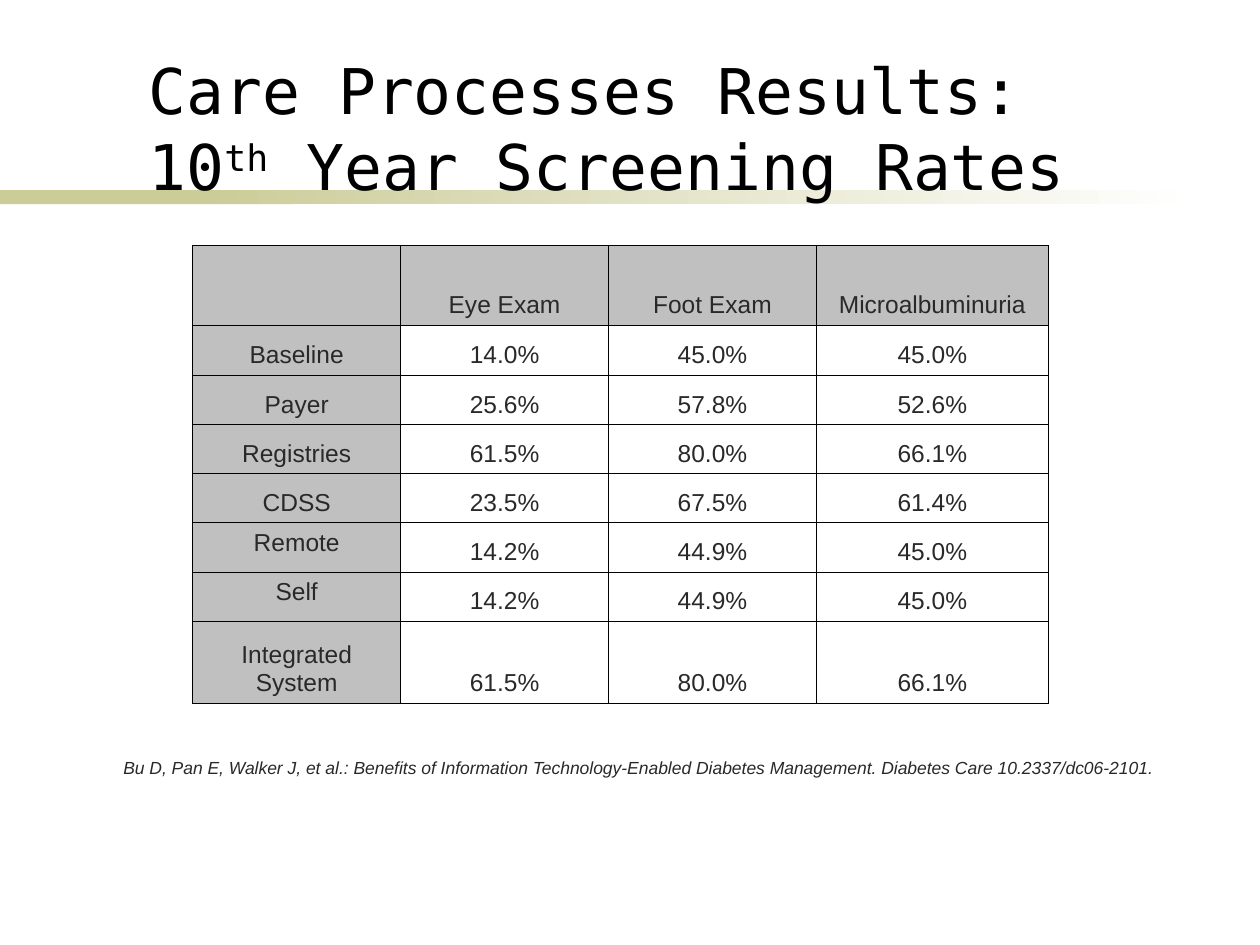
from dataclasses import dataclass

from lxml.etree import SubElement
from pptx import Presentation
from pptx.dml.color import RGBColor
from pptx.enum.shapes import MSO_SHAPE
from pptx.enum.text import MSO_ANCHOR, PP_ALIGN
from pptx.oxml.ns import qn
from pptx.slide import Slide
from pptx.table import _Cell
from pptx.text.text import _Paragraph, _Run
from pptx.util import Inches, Pt

OLIVE = RGBColor(0xCC, 0xCC, 0x99)
WHITE = RGBColor(0xFF, 0xFF, 0xFF)
BLACK = RGBColor(0x00, 0x00, 0x00)
CHARCOAL = RGBColor(0x29, 0x29, 0x29)
SILVER = RGBColor(0xC0, 0xC0, 0xC0)

TITLE_FONT = "DejaVu Sans Mono"
BODY_FONT = "Arial"
COLUMN_WIDTHS = (1.65, 1.65, 1.65, 1.84)
HEADINGS = ("", "Eye Exam", "Foot Exam", "Microalbuminuria")
CITATION = (
    "Bu D, Pan E, Walker J, et al.: Benefits of Information Technology-Enabled "
    "Diabetes Management. Diabetes Care 10.2337/dc06-2101."
)


@dataclass(frozen=True)
class Box:
    left: float
    top: float
    width: float
    height: float

    def lengths(self) -> tuple[Inches, ...]:
        return tuple(map(Inches, (self.left, self.top, self.width, self.height)))


@dataclass(frozen=True)
class TableRow:
    texts: tuple[str, ...]
    height: float = 0.39
    label_anchor: MSO_ANCHOR = MSO_ANCHOR.BOTTOM


ROWS = (
    TableRow(HEADINGS, 0.63),
    TableRow(("Baseline", "14.0%", "45.0%", "45.0%"), 0.4),
    TableRow(("Payer", "25.6%", "57.8%", "52.6%")),
    TableRow(("Registries", "61.5%", "80.0%", "66.1%")),
    TableRow(("CDSS", "23.5%", "67.5%", "61.4%")),
    TableRow(("Remote", "14.2%", "44.9%", "45.0%"), label_anchor=MSO_ANCHOR.TOP),
    TableRow(("Self", "14.2%", "44.9%", "45.0%"), label_anchor=MSO_ANCHOR.TOP),
    TableRow(("Integrated System", "61.5%", "80.0%", "66.1%"), 0.65),
)


def add_run(paragraph: _Paragraph, text: str, font: str, size: int, color: RGBColor) -> _Run:
    run = paragraph.add_run()
    run.text = text
    run.font.name = font
    run.font.size = Pt(size)
    run.font.color.rgb = color
    return run


def add_band(slide: Slide, box: Box, fades: bool = False) -> None:
    band = slide.shapes.add_shape(MSO_SHAPE.RECTANGLE, *box.lengths())
    band.shadow.inherit = False
    band.line.fill.background()
    if fades:
        band.fill.gradient()
        band.fill.gradient_angle = 0
        for stop, color in zip(band.fill.gradient_stops, (OLIVE, WHITE)):
            stop.color.rgb = color
    else:
        band.fill.solid()
        band.fill.fore_color.rgb = OLIVE


def add_text_box(slide: Slide, box: Box, anchor: MSO_ANCHOR) -> _Paragraph:
    text_frame = slide.shapes.add_textbox(*box.lengths()).text_frame
    text_frame.word_wrap = True
    text_frame.vertical_anchor = anchor
    return text_frame.paragraphs[0]


def add_title(slide: Slide) -> None:
    paragraph = add_text_box(slide, Box(1.08, 0.11, 8.08, 1.55), MSO_ANCHOR.BOTTOM)
    add_run(paragraph, "Care Processes Results:", TITLE_FONT, 36, BLACK)
    paragraph.add_line_break()
    add_run(paragraph, "10", TITLE_FONT, 36, BLACK)
    ordinal = add_run(paragraph, "th", TITLE_FONT, 36, BLACK)
    ordinal.font._element.set("baseline", "30000")
    add_run(paragraph, " Year Screening Rates", TITLE_FONT, 36, BLACK)


def add_citation(slide: Slide) -> None:
    paragraph = add_text_box(slide, Box(0.88, 5.96, 8.41, 0.27), MSO_ANCHOR.TOP)
    add_run(paragraph, CITATION, BODY_FONT, 10, CHARCOAL).font.italic = True


def set_borders(cell: _Cell) -> None:
    properties = cell._tc.get_or_add_tcPr()
    for index, side in enumerate(("lnL", "lnR", "lnT", "lnB")):
        line = SubElement(properties, qn(f"a:{side}"), w=str(Pt(0.45)))
        fill = SubElement(line, qn("a:solidFill"))
        SubElement(fill, qn("a:srgbClr"), val=str(BLACK))
        properties.insert(index, line)


def fill_cell(cell: _Cell, text: str, anchor: MSO_ANCHOR, shaded: bool) -> None:
    if shaded:
        cell.fill.solid()
        cell.fill.fore_color.rgb = SILVER
    else:
        cell.fill.background()
    set_borders(cell)
    cell.vertical_anchor = anchor
    paragraph = cell.text_frame.paragraphs[0]
    paragraph.alignment = PP_ALIGN.CENTER
    if text:
        add_run(paragraph, text, BODY_FONT, 14, CHARCOAL)


def add_rates_table(slide: Slide) -> None:
    box = Box(1.53, 1.95, sum(COLUMN_WIDTHS), sum(row.height for row in ROWS))
    table = slide.shapes.add_table(len(ROWS), len(COLUMN_WIDTHS), *box.lengths()).table
    table.first_row = False
    table.horz_banding = False
    for column, width in zip(table.columns, COLUMN_WIDTHS):
        column.width = Inches(width)
    for row_index, row in enumerate(ROWS):
        table.rows[row_index].height = Inches(row.height)
        for column_index, text in enumerate(row.texts):
            is_label = column_index == 0
            anchor = row.label_anchor if is_label else MSO_ANCHOR.BOTTOM
            cell = table.cell(row_index, column_index)
            fill_cell(cell, text, anchor, is_label or row_index == 0)


def main() -> None:
    presentation = Presentation()
    presentation.slide_width = Inches(10)
    presentation.slide_height = Inches(7.5)
    slide = presentation.slides.add_slide(presentation.slide_layouts[6])
    add_band(slide, Box(0, 1.51, 2.33, 0.11))
    add_band(slide, Box(1.58, 1.51, 7.92, 0.11), fades=True)
    add_title(slide)
    add_citation(slide)
    add_rates_table(slide)
    presentation.save("out.pptx")


if __name__ == "__main__":
    main()
